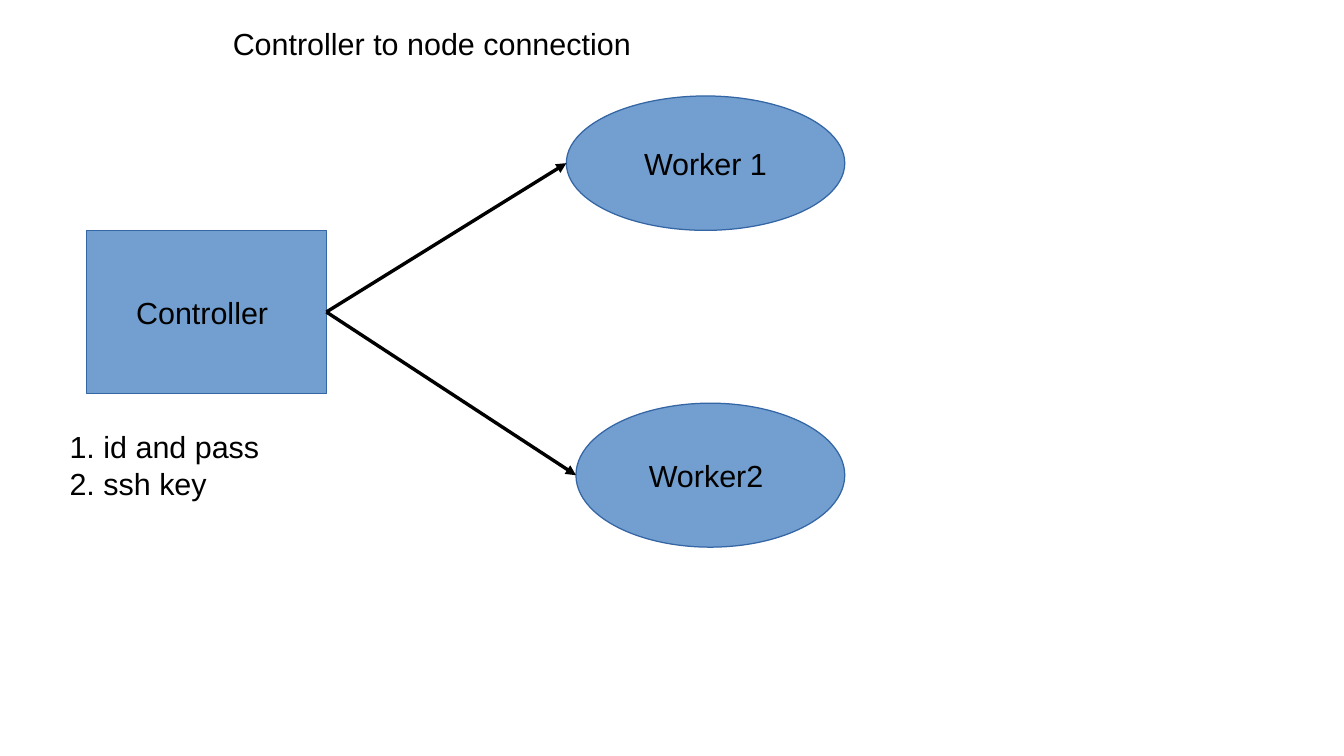
"""Build a slide showing how a controller connects to its worker nodes."""
from pptx import Presentation
from pptx.dml.color import RGBColor
from pptx.enum.shapes import MSO_CONNECTOR, MSO_SHAPE
from pptx.enum.text import MSO_ANCHOR, PP_ALIGN
from pptx.oxml.ns import qn
from pptx.util import Cm, Pt
from lxml.etree import SubElement

BLACK = RGBColor(0x00, 0x00, 0x00)
NODE_FILL = RGBColor(0x72, 0x9F, 0xCF)
NODE_LINE = RGBColor(0x34, 0x65, 0xA4)


def write_text(box, lines, align=PP_ALIGN.LEFT, anchor=MSO_ANCHOR.TOP, wrap=True):
    frame = box.text_frame
    frame.word_wrap = wrap
    frame.vertical_anchor = anchor
    frame.text = "\n".join(lines)
    for para in frame.paragraphs:
        para.alignment = align
        para.font.name = "Arial"
        para.font.size = Pt(18)
        para.font.color.rgb = BLACK


def add_node(kind, label, left, top, width, height):
    node = page.shapes.add_shape(kind, Cm(left), Cm(top), Cm(width), Cm(height))
    node.shadow.inherit = False
    node.fill.solid()
    node.fill.fore_color.rgb = NODE_FILL
    node.line.color.rgb = NODE_LINE
    node.line.width = Pt(0)
    write_text(node, [label], align=PP_ALIGN.CENTER, anchor=MSO_ANCHOR.MIDDLE, wrap=False)
    return node


deck = Presentation()
deck.slide_width = Cm(28)
deck.slide_height = Cm(15.75)
page = deck.slides.add_slide(deck.slide_layouts[6])

title = page.shapes.add_textbox(Cm(4.6), Cm(0.4), Cm(18.8), Cm(0.97))
write_text(title, ["Controller to node connection"])

controller = add_node(MSO_SHAPE.RECTANGLE, "Controller ", 1.8, 4.8, 5, 3.4)
workers = [
    add_node(MSO_SHAPE.OVAL, "Worker 1", 11.8, 2, 5.8, 2.8),
    add_node(MSO_SHAPE.OVAL, "Worker2 ", 12, 8.4, 5.6, 3),
]

for worker in workers:
    arrow = page.shapes.add_connector(
        MSO_CONNECTOR.STRAIGHT,
        controller.left + controller.width,
        controller.top + controller.height // 2,
        worker.left,
        worker.top + worker.height // 2,
    )
    arrow.begin_connect(controller, 3)
    arrow.line.color.rgb = BLACK
    arrow.line.width = Pt(0)
    SubElement(arrow.line._get_or_add_ln(), qn("a:tailEnd"), type="triangle")
    SubElement(arrow._element.spPr, qn("a:effectLst"))

methods = page.shapes.add_textbox(Cm(1.2), Cm(8.8), Cm(6.6), Cm(1.68))
write_text(methods, ["1. id and pass", "2. ssh key"])

deck.save("out.pptx")
